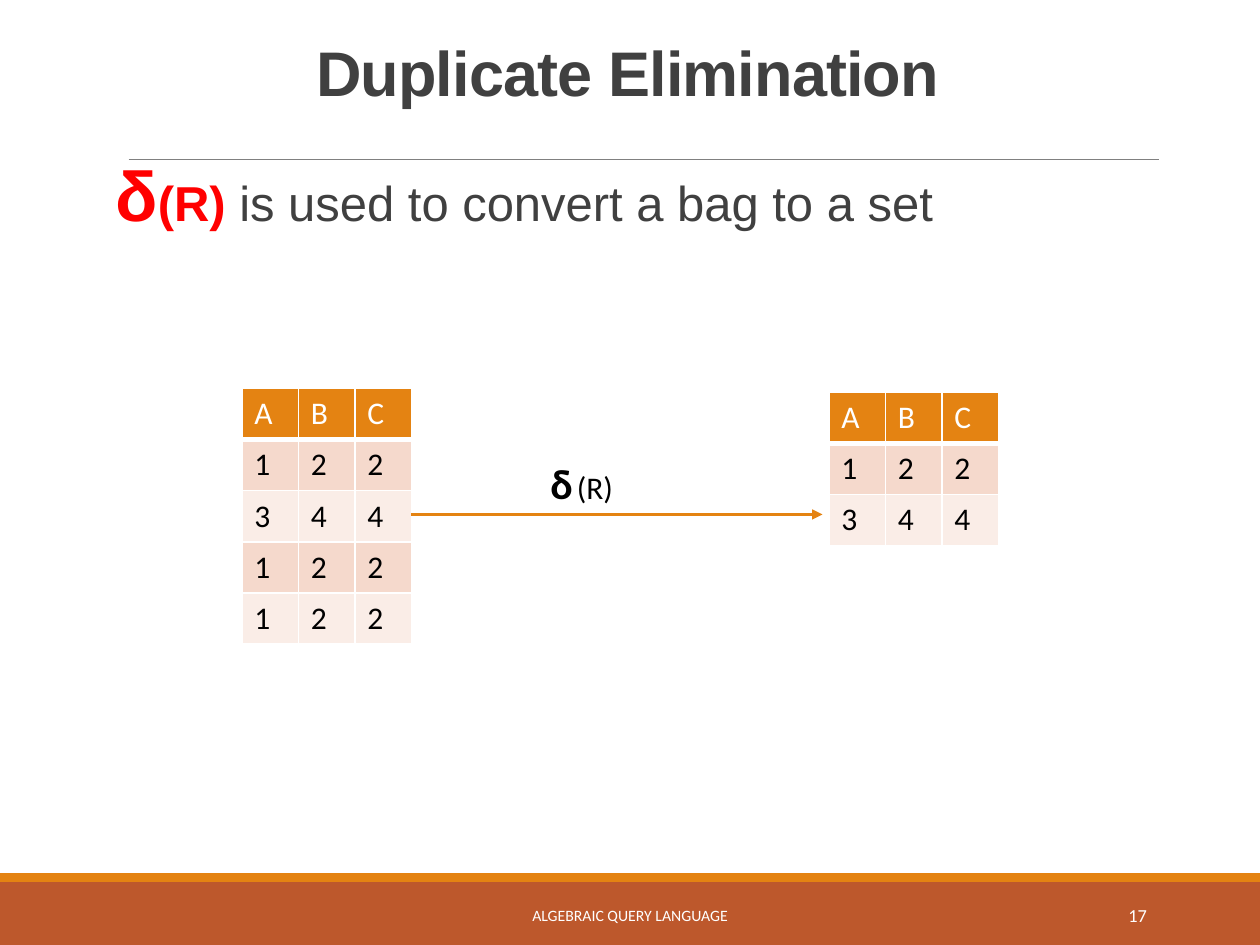
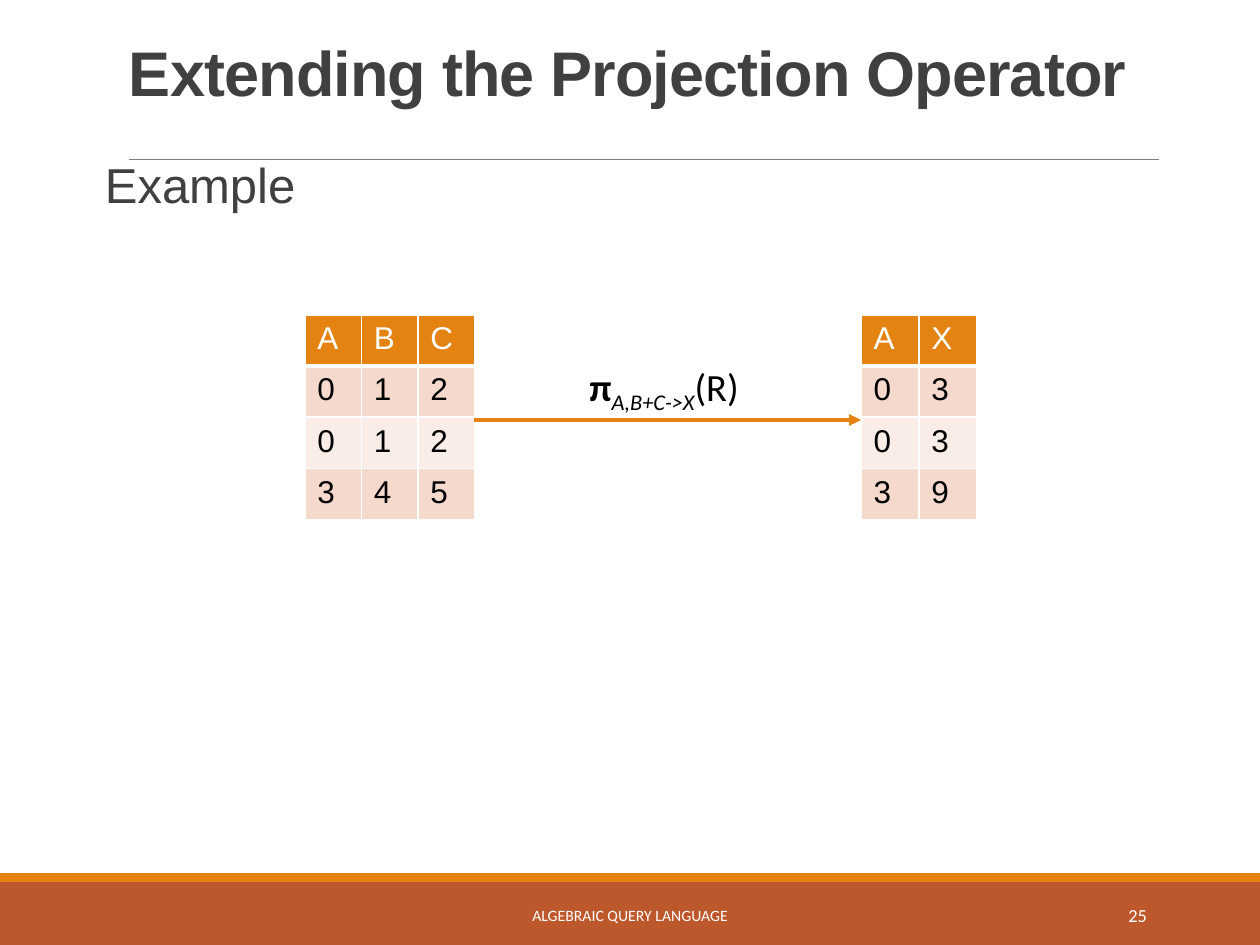
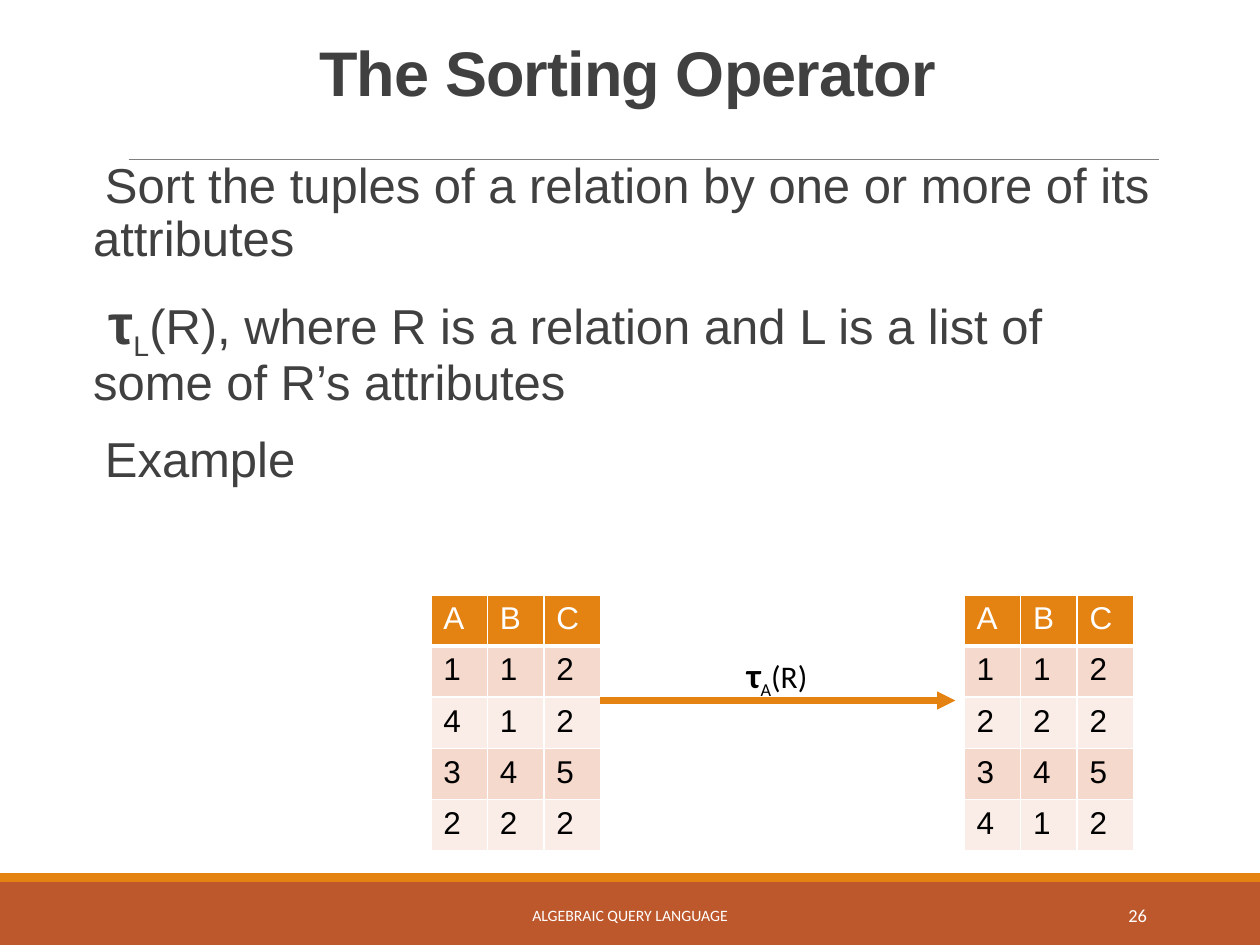
import pptx
import pptx.util
import pptx.dml.color
import pptx.enum.shapes
import pptx.enum.text
import pptx.oxml.ns
import lxml.etree

Pt = pptx.util.Pt
qn = pptx.oxml.ns.qn
ALIGN = pptx.enum.text.PP_ALIGN
ANCHOR = pptx.enum.text.MSO_ANCHOR

COLORS = {
    "band": "BD582C",
    "accent": "E48312",
    "rule": "808080",
    "text": "404040",
    "red": "FF0000",
    "black": "000000",
    "white": "FFFFFF",
    "odd_row": "F5D9CC",
    "even_row": "FAEDE7",
}
SLIDE = (0, 0, 720, 540)
CONTENT = (46, 88.5, 625, 399)
TITLE = (46, 22.3, 625, 66.2)
ROW_H = 29.2


def rgb(name):
    return pptx.dml.color.RGBColor.from_string(COLORS[name])


def points(*lengths):
    return [Pt(n) for n in lengths]


def sub(parent, tag, **attrs):
    return lxml.etree.SubElement(parent, qn(tag), attrs)


def add_run(p, text, size, font="Arial", color="text", bold=False, italic=False,
            subscript=False, spacing=None):
    r = p.add_run()
    r.text = text
    r.font.size = Pt(size)
    r.font.name = font
    r.font.bold = bold
    r.font.italic = italic
    r.font.color.rgb = rgb(color)
    rpr = r._r.get_or_add_rPr()
    if subscript:
        rpr.set("baseline", "-25000")
    if spacing:
        rpr.set("spc", str(spacing))


def add_text(slide, box, align=ALIGN.LEFT, anchor=ANCHOR.TOP, wrap=True):
    tf = slide.shapes.add_textbox(*points(*box)).text_frame
    tf.word_wrap = wrap
    tf.vertical_anchor = anchor
    tf.paragraphs[0].alignment = align
    return tf


def add_bar(slide, box, color):
    sp = slide.shapes.add_shape(pptx.enum.shapes.MSO_SHAPE.RECTANGLE, *points(*box))
    sp.shadow.inherit = False
    sp.fill.solid()
    sp.fill.fore_color.rgb = rgb(color)
    sp.line.fill.background()


def add_line(slide, x1, x2, y, color, width, arrow=False):
    line = slide.shapes.add_connector(
        pptx.enum.shapes.MSO_CONNECTOR.STRAIGHT, *points(x1, y, x2, y))
    line.line.color.rgb = rgb(color)
    line.line.width = Pt(width)
    if arrow:
        sub(line.line._get_or_add_ln(), "a:tailEnd", type="triangle")
    sub(line._element.spPr, "a:effectLst")


def add_frame(slide, box, number):
    x, y, w, h = box
    add_bar(slide, (x, y + h - 36, w, 36), "band")
    add_bar(slide, (x, y + h - 41, w, 5), "accent")
    add_line(slide, x + 73.5, x + 662.4, y + 91, "rule", 0.5)
    footers = [
        ("ALGEBRAIC QUERY LANGUAGE", 9, 217.5, 285, ALIGN.CENTER),
        (str(number), 10.5, 584.6, 77.8, ALIGN.RIGHT),
    ]
    for text, size, left, width, align in footers:
        tf = add_text(slide, (x + left, y + h - 31.5, width, 28.8), align, ANCHOR.MIDDLE)
        add_run(tf.paragraphs[0], text, size, "Calibri", "white")


def add_title(slide, box, title):
    p = add_text(slide, box, ALIGN.CENTER).paragraphs[0]
    p.line_spacing = 0.85
    add_run(p, title, 36, bold=True, spacing=-50)


def add_body(slide, box, paragraphs):
    tf = add_text(slide, box)
    tf.margin_left = tf.margin_right = 0
    for i, runs in enumerate(paragraphs):
        p = tf.add_paragraph() if i else tf.paragraphs[0]
        p.line_spacing = 0.9
        p.space_before = Pt(12 if i else 0)
        p.space_after = Pt(2)
        ppr = p._p.get_or_add_pPr()
        ppr.set("marL", str(Pt(7.2)))
        ppr.set("indent", str(-Pt(7.2)))
        sub(sub(ppr, "a:buClr"), "a:srgbClr", val=COLORS["accent"])
        sub(ppr, "a:buChar", char=" ")
        for text, size, style in runs:
            add_run(p, text, size, **style)


def style_cell(cell, text, row, font):
    tcpr = cell._tc.get_or_add_tcPr()
    for side in "LRTB":
        thick = (row == 0 and side == "B") or (row == 1 and side == "T")
        ln = sub(tcpr, "a:ln" + side, w=str(Pt(3 if thick else 1)))
        sub(sub(ln, "a:solidFill"), "a:srgbClr", val=COLORS["white"])
    cell.fill.solid()
    fill = "accent" if row == 0 else "odd_row" if row % 2 else "even_row"
    cell.fill.fore_color.rgb = rgb(fill)
    add_run(cell.text_frame.paragraphs[0], text, 18, font,
            "black" if row else "white")


def add_relation(slide, x, y, rows, col_w, font):
    cols = len(rows[0])
    table = slide.shapes.add_table(
        len(rows), cols, *points(x, y, cols * col_w, len(rows) * ROW_H)).table
    for col in table.columns:
        col.width = Pt(col_w)
    for i, row in enumerate(rows):
        table.rows[i].height = Pt(ROW_H)
        for j, text in enumerate(row):
            style_cell(table.cell(i, j), text, i, font)


def add_example(slide, box, before, after, label, label_box, arrow_y, arrow_w,
                gap=0, drop=0, after_col=32.3, font="Arial"):
    x, y, w = box
    col_w = 32.3
    after_x = x + w - len(after[0]) * after_col
    add_relation(slide, x, y, before, col_w, font)
    add_relation(slide, after_x, y + drop, after, after_col, font)
    add_line(slide, x + len(before[0]) * col_w, after_x - gap, y + arrow_y,
             "accent", arrow_w, arrow=True)
    left, top, width, height = label_box
    tf = add_text(slide, (x + left, y + top, width, height), wrap=False)
    for text, size, style in label:
        add_run(tf.paragraphs[0], text, size, "Calibri", "black", **style)


def add_operator_slide(prs, number, title, paragraphs, example):
    slide = prs.slides.add_slide(prs.slide_layouts[6])
    add_frame(slide, SLIDE, number)
    add_body(slide, CONTENT, paragraphs)
    add_title(slide, TITLE, title)
    add_example(slide, **example)


def main():
    prs = pptx.Presentation()
    prs.slide_width, prs.slide_height = points(*SLIDE[2:])
    bold = {"bold": True}
    red = {"bold": True, "color": "red"}
    low = {"subscript": True}

    add_operator_slide(
        prs, 17, "Duplicate Elimination",
        [[("δ", 40, red), ("(R)", 28, red),
          (" is used to convert a bag to a set", 28, {})]],
        dict(box=(138.2, 222, 432.3),
             before=["ABC", "122", "344", "122", "122"],
             after=["ABC", "122", "344"],
             label=[("δ", 24, bold), (" ", 18, low), ("(R)", 18, {})],
             label_box=(169.2, 36, 56.2, 36),
             arrow_y=72, arrow_w=1.5, gap=3.6, drop=2.2, font="Calibri"))

    add_operator_slide(
        prs, 25, "Extending the Projection Operator",
        [[("Example", 28, {})]],
        dict(box=(174.2, 180, 383.8),
             before=["ABC", "012", "012", "345"],
             after=["AX", "03", "03", "39"],
             label=[("π", 22, bold),
                    ("A,B+C->X", 22, {"italic": True, "subscript": True}),
                    ("(R)", 22, {})],
             label_box=(155.5, 23.8, 111.6, 33.8),
             arrow_y=60, arrow_w=2.25, after_col=33))

    add_operator_slide(
        prs, 26, "The Sorting Operator",
        [[("Sort the tuples of a relation by one or more of its attributes", 28, {})],
         [("τ", 32, bold), ("L", 28, low),
          ("(R), where R is a relation and L is a list of some of R’s attributes", 28, {})],
         [("Example", 28, {})]],
        dict(box=(246.2, 340, 401.6),
             before=["ABC", "112", "412", "345", "222"],
             after=["ABC", "112", "222", "345", "412"],
             label=[("τ", 20, bold), ("A", 18, low), ("(R)", 18, {})],
             label_box=(173.5, 30, 57.6, 31.7),
             arrow_y=60.3, arrow_w=3.5, gap=5))

    prs.save("out.pptx")


if __name__ == "__main__":
    main()
